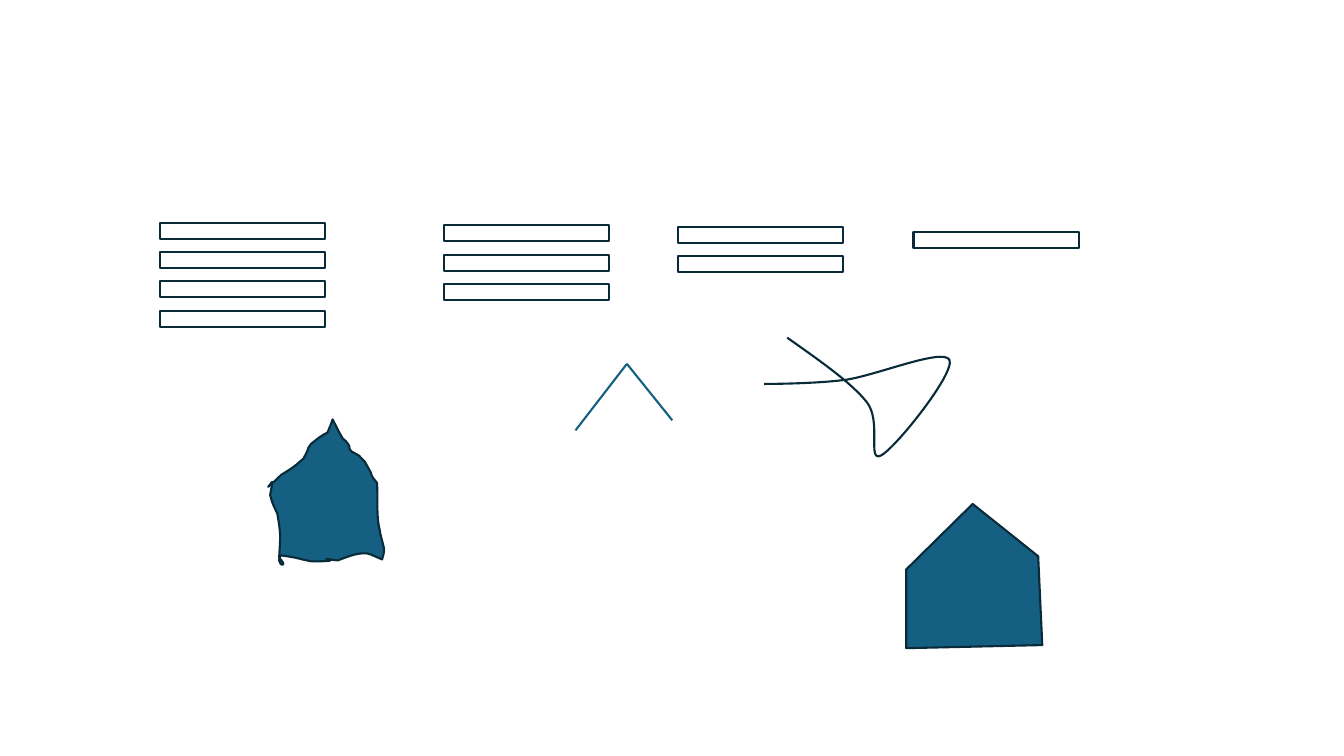
from pptx import Presentation
from pptx.dml.color import RGBColor
from pptx.enum.shapes import MSO_CONNECTOR, MSO_SHAPE
from pptx.oxml.ns import qn
from pptx.util import Pt

RECTANGLE = MSO_SHAPE.RECTANGLE
STRAIGHT = MSO_CONNECTOR.STRAIGHT
NAVY = RGBColor(0x09, 0x2A, 0x39)
BLUE = RGBColor(0x15, 0x60, 0x82)
LINE_WIDTH = Pt(1.5)

presentation = Presentation()
presentation.slide_width, presentation.slide_height = Pt(960), Pt(540)
slide = presentation.slides.add_slide(presentation.slide_layouts[6])


def style_shape(shape, fill_color=None):
    shape.shadow.inherit = False
    shape.line.color.rgb = NAVY
    shape.line.width = LINE_WIDTH
    if fill_color is None:
        shape.fill.background()
    else:
        shape.fill.solid()
        shape.fill.fore_color.rgb = fill_color


def draw_outline(start, segments, closed):
    """Two numbers make a straight segment, six make a Bézier curve."""
    builder = slide.shapes.build_freeform(Pt(start[0]), Pt(start[1]), scale=1.0)
    for segment in segments:
        points = [(Pt(x), Pt(y)) for x, y in zip(segment[::2], segment[1::2])]
        builder.add_line_segments(points, close=False)
    if closed:
        builder.add_line_segments([(Pt(start[0]), Pt(start[1]))], close=True)
    shape = builder.convert_to_shape()

    # Merge the three points of each curve into one Bézier element
    steps = iter(list(shape.element.iter(qn("a:lnTo"))))
    for segment in segments:
        first = next(steps)
        if len(segment) == 6:
            curve = first.makeelement(qn("a:cubicBezTo"))
            first.addprevious(curve)
            for step in (first, next(steps), next(steps)):
                curve.append(step[0])
                step.getparent().remove(step)
    return shape


# Stacks of bars: left, top, number of bars
BAR_WIDTH, BAR_HEIGHT, BAR_PITCH = 118, 11.5, 21
for left, top, count in [(114, 159, 4), (317, 161, 3), (484, 162, 2), (652.5, 165.5, 1)]:
    for row in range(count):
        bar = slide.shapes.add_shape(
            RECTANGLE, Pt(left), Pt(top + row * BAR_PITCH), Pt(BAR_WIDTH), Pt(BAR_HEIGHT))
        style_shape(bar)

# Roof made of two straight lines that meet at the peak
PEAK = (447.8, 259.9)
for start, end in [((411.1, 307.4), PEAK), (PEAK, (480.2, 300.2))]:
    roof_line = slide.shapes.add_connector(
        STRAIGHT, Pt(start[0]), Pt(start[1]), Pt(end[0]), Pt(end[1]))
    roof_line.line.color.rgb = BLUE
    roof_line.line.width = LINE_WIDTH
    properties = roof_line.element.spPr
    properties.append(properties.makeelement(qn("a:effectLst")))

# Open curve
loop = draw_outline((562.3, 241.2), [
    (584.6, 257, 607.7, 272.9, 619.2, 287.3),
    (630, 301, 619.2, 330.5, 629.3, 325.4),
    (639.4, 320.4, 682.6, 266.4, 678.2, 257),
    (673.2, 248.4, 625, 268.6, 603.4, 271.4),
    (581, 274.3, 545.8, 274.3, 545.8, 274.3),
], closed=False)
style_shape(loop)

# Hand-drawn house
sketched_house = draw_outline((191.5, 347.8), [
    # Left slope
    (195.1, 344.9, 198, 342, 200.9, 339.1),
    (204.5, 337, 208.1, 334.8, 211.7, 331.9),
    (216.7, 327.6),
    (218.2, 324.7, 219.6, 322.6, 220.3, 319.7),
    (221, 319, 221.8, 317.5, 222.5, 316.8),
    (226.1, 313.9, 229.7, 311, 234, 308.9),
    (236.2, 303.1, 235.4, 306, 237.6, 299.5),
    # Right slope
    (238.3, 301),
    (240.5, 305.3, 242.6, 309.6, 244.8, 313.2),
    (246.2, 314.6, 247.7, 315.4, 248.4, 316.8),
    (251.3, 320.4, 247.7, 319, 251.3, 322.6),
    (252.7, 324, 254.9, 324, 256.3, 325.4),
    (257.8, 326.9, 259.2, 328.3, 260.6, 329.8),
    (265, 337.7),
    (265, 339.1, 265.7, 339.8, 266.4, 341.3),
    (269.3, 344.9),
    # Right wall
    (270, 356.4, 268.6, 368.6, 271.4, 379.4),
    (271.4, 381.6, 274.3, 390.2, 274.3, 392.4),
    (274.3, 395.3, 273.6, 397.4, 272.9, 399.6),
    # Floor
    (269.3, 398.2, 265.7, 396, 262.1, 395.3),
    (254.9, 394.6, 247, 398.2, 241.2, 400.3),
    (218.2, 397.4, 254.2, 401, 222.5, 401),
    (220.3, 401, 218.2, 399.6, 216, 399.6),
    (211, 398.2, 205.9, 397.4, 200.9, 396.7),
    (200.2, 397.4, 198.7, 398.9, 199.4, 400.3),
    (199.4, 401.8, 200.9, 403.9, 202.3, 403.2),
    (203, 401.8, 200.2, 399.6, 199.4, 398.2),
    # Left wall
    (200.2, 383.8, 200.9, 382.3, 198, 366.5),
    (198, 365.8, 196.6, 365, 196.6, 363.6),
    (195.1, 360.7, 193.7, 357.1, 193, 353.5),
    (194.4, 344.9, 194.4, 347.8, 194.4, 344.2),
], closed=True)
style_shape(sketched_house, BLUE)

# Straight-sided house
house = draw_outline((647.3, 463), [
    (647.3, 406.8), (694.8, 360), (741.6, 397.4), (744.5, 460.8),
], closed=True)
style_shape(house, BLUE)

presentation.save("out.pptx")
